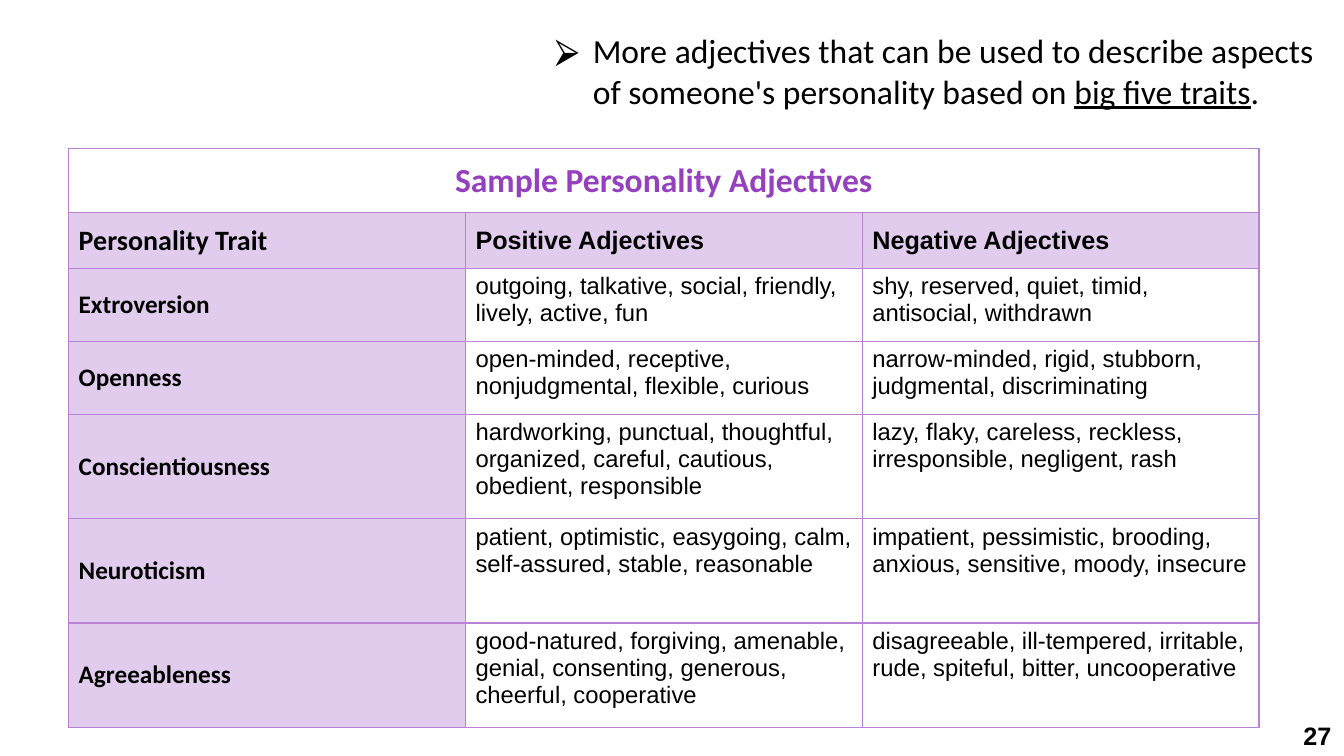
from lxml.etree import SubElement
from pptx import Presentation
from pptx.dml.color import RGBColor
from pptx.enum.text import MSO_ANCHOR as Anchor, PP_ALIGN as Align
from pptx.oxml import parse_xml
from pptx.oxml.ns import nsdecls, qn
from pptx.util import Cm, Pt

BLACK, WHITE = "000000", "FFFFFF"
PURPLE, LILAC, BORDER = "9541BF", "E2CCED", "B982D5"
ADJECTIVES = [
    ("Extroversion", "outgoing, talkative, social, friendly, lively, active, fun",
     "shy, reserved, quiet, timid, antisocial, withdrawn"),
    ("Openness", "open-minded, receptive, nonjudgmental, flexible, curious",
     "narrow-minded, rigid, stubborn, judgmental, discriminating"),
    ("Conscientiousness",
     "hardworking, punctual, thoughtful, organized, careful, cautious, obedient, responsible",
     "lazy, flaky, careless, reckless, irresponsible, negligent, rash"),
    ("Neuroticism", "patient, optimistic, easygoing, calm, self-assured, stable, reasonable",
     "impatient, pessimistic, brooding, anxious, sensitive, moody, insecure"),
    ("Agreeableness",
     "good-natured, forgiving, amenable, genial, consenting, generous, cheerful, cooperative",
     "disagreeable, ill-tempered, irritable, rude, spiteful, bitter, uncooperative"),
]
ROW_HEIGHTS = [1.61, 1.4, 1.84, 1.84, 2.63, 2.63, 2.63]
COLUMN_WIDTH = 10


def color(value):
    return RGBColor.from_string(value)


def add_text(paragraph, text, size, font="Calibri", fill=BLACK, bold=False,
             underline=False, align=Align.LEFT):
    paragraph.alignment = align
    run = paragraph.add_run()
    run.text = text
    run.font.size = Pt(size)
    run.font.name = font
    run.font.bold = bold
    run.font.underline = underline
    run.font.color.rgb = color(fill)


presentation = Presentation()
presentation.slide_width, presentation.slide_height = Cm(33.87), Cm(19.05)
slide = presentation.slides.add_slide(presentation.slide_layouts[6])

# Adjective table
table = slide.shapes.add_table(
    len(ROW_HEIGHTS), 3, Cm(1.73), Cm(3.75), Cm(3 * COLUMN_WIDTH), Cm(sum(ROW_HEIGHTS))).table
table.first_row = table.horz_banding = False
for column in table.columns:
    column.width = Cm(COLUMN_WIDTH)
for row, height in zip(table.rows, ROW_HEIGHTS):
    row.height = Cm(height)
table.cell(0, 0).merge(table.cell(0, 2))

rows = [("Sample Personality Adjectives", "", ""),
        ("Personality Trait", "Positive Adjectives", "Negative Adjectives"), *ADJECTIVES]
for row_index, texts in enumerate(rows):
    for column_index, text in enumerate(texts):
        cell = table.cell(row_index, column_index)
        is_title, is_header, is_trait = row_index == 0, row_index == 1, column_index == 0
        is_label = is_title or is_header or is_trait
        cell.vertical_anchor = Anchor.MIDDLE if is_label else Anchor.TOP
        cell.fill.solid()
        cell.fill.fore_color.rgb = color(LILAC if is_label and not is_title else WHITE)
        for index, side in enumerate("LRTB"):
            cell_properties = cell._tc.get_or_add_tcPr()
            cell_properties.insert(index, parse_xml(
                f'<a:ln{side} {nsdecls("a")} w="12700"><a:solidFill>'
                f'<a:srgbClr val="{BORDER}"/></a:solidFill></a:ln{side}>'))
        paragraph = cell.text_frame.paragraphs[0]
        if is_title and text:
            add_text(paragraph, text, 24, fill=PURPLE, bold=True, align=Align.CENTER)
        elif is_trait:
            add_text(paragraph, text, 20 if is_header else 18, bold=True)
        elif text:
            add_text(paragraph, text, 18 if is_header else 17, font="Arial", bold=is_header)

# Bulleted introduction
introduction = slide.shapes.add_textbox(Cm(13.74), Cm(0.64), Cm(19.81), Cm(2.31))
introduction.text_frame.word_wrap = True
paragraph = introduction.text_frame.paragraphs[0]
properties = paragraph._p.get_or_add_pPr()
properties.set("marL", str(Cm(0.95)))
properties.set("indent", str(-Cm(0.95)))
bullet_color = SubElement(properties, qn("a:buClr"))
SubElement(bullet_color, qn("a:srgbClr"), val=BLACK)
SubElement(properties, qn("a:buFont"), typeface="Arial")
SubElement(properties, qn("a:buChar"), char="⮚")
add_text(paragraph, "More adjectives that can be used to describe aspects of someone's "
         "personality based on ", 24)
add_text(paragraph, "big five traits", 24, underline=True)
add_text(paragraph, ".", 24)

# Page number
page_number = slide.shapes.add_textbox(Cm(32.54), Cm(18.03), Cm(1.32), Cm(1.02))
frame = page_number.text_frame
frame.word_wrap = True
frame.margin_left = frame.margin_right = Cm(0.13)
add_text(frame.paragraphs[0], "27", 18, font="Arial", bold=True, align=Align.CENTER)

presentation.save("out.pptx")
